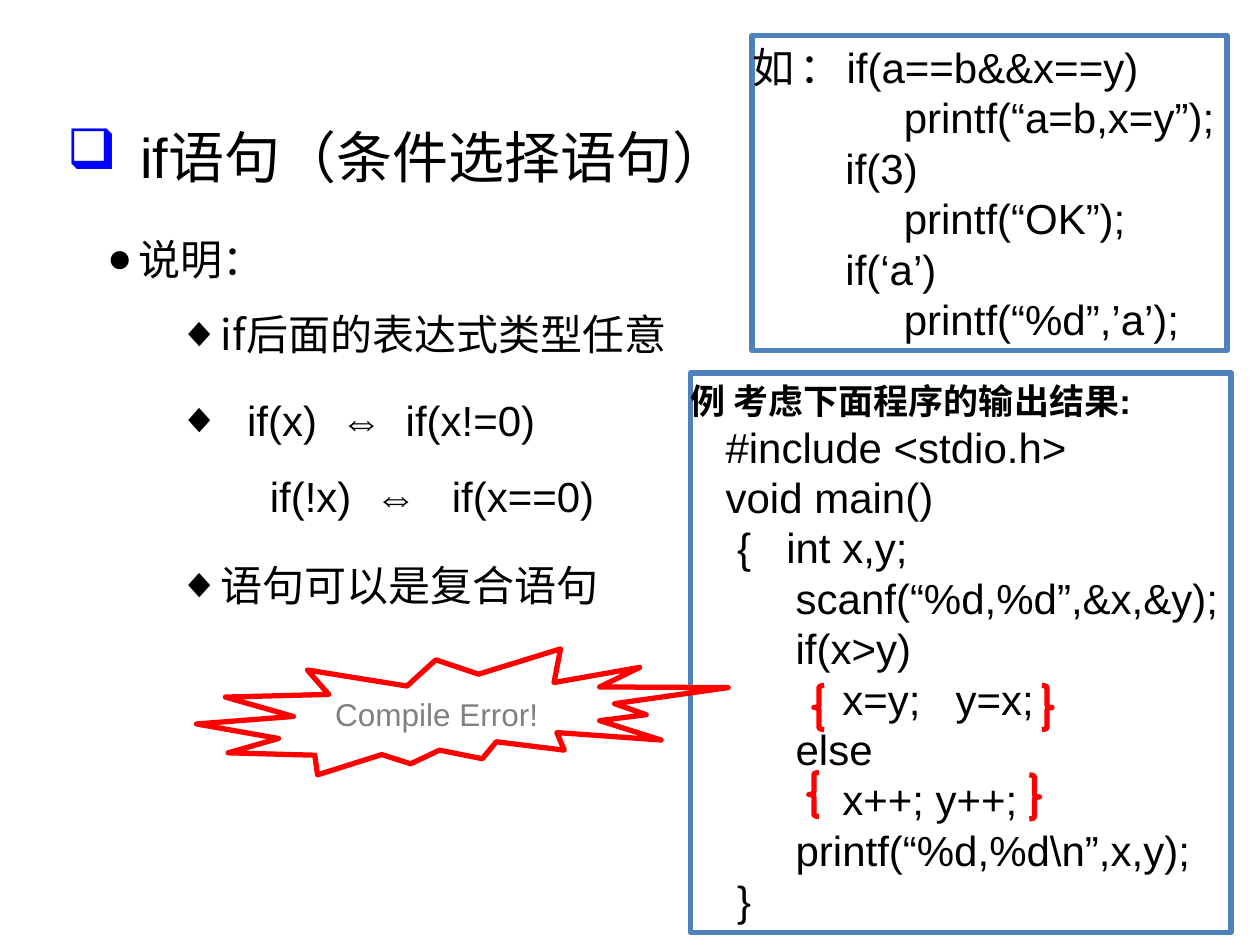
from lxml.etree import SubElement
from pptx import Presentation
from pptx.dml.color import RGBColor
from pptx.enum.shapes import MSO_SHAPE
from pptx.enum.text import MSO_ANCHOR, MSO_AUTO_SIZE, PP_ALIGN
from pptx.oxml.ns import qn
from pptx.util import Pt

BLACK = RGBColor(0, 0, 0)
WHITE = RGBColor(255, 255, 255)
GRAY = RGBColor(128, 128, 128)
RED = RGBColor(255, 0, 0)
BLUE = RGBColor(0, 0, 255)
BORDER = RGBColor(0x4F, 0x81, 0xBD)
LATIN, CHINESE = "Arial", "Noto Sans CJK SC"
SPACE = 6.67  # width of one space in 24 pt Arial

# Code lines: indent in spaces, then text pieces; a pair is (text, letter spacing).
CONDITIONS = [
    (0, [("如：", 3), "if(a==b&&x==y)"]),
    (13, ["printf(“a=b,x=y”);"]),
    (8, ["if(3)"]),
    (13, ["printf(“OK”);"]),
    (8, ["if(‘a’)"]),
    (13, ["printf(“%d”,’a’);"]),
]
PROGRAM = [
    (3, ["#include <stdio.h>"]),
    (3, ["void main()"]),
    (4, ["{", (" ", 2 * SPACE), "int x,y;"]),
    (9, ["scanf(“%d,%d”,&x,&y);"]),
    (9, ["if(x>y)"]),
    (13, ["x=y;", (" ", 2 * SPACE), "y=x;"]),
    (9, ["else"]),
    (13, ["x++; y++;"]),
    (9, ["printf(“%d,%d\\n”,x,y);"]),
    (4, ["}"]),
]
BRACES = [
    (MSO_SHAPE.LEFT_BRACE, 465.1, 391.7),
    (MSO_SHAPE.RIGHT_BRACE, 595.4, 391.7),
    (MSO_SHAPE.LEFT_BRACE, 462.2, 441.4),
    (MSO_SHAPE.RIGHT_BRACE, 588.2, 442.8),
]


def place(shape, left, top, width, height):
    for name, value in dict(left=left, top=top, width=width, height=height).items():
        setattr(shape, name, Pt(value))


def prepare_frame(shape, **options):
    frame = shape.text_frame
    values = {"word_wrap": True, "auto_size": MSO_AUTO_SIZE.NONE,
              "vertical_anchor": MSO_ANCHOR.TOP, **options}
    for name, value in values.items():
        setattr(frame, name, value)
    return frame


def next_paragraph(frame):
    first = frame.paragraphs[0]
    return frame.add_paragraph() if first.runs else first


def write_pieces(paragraph, pieces, size=24, color=BLACK, bold=False, latin=LATIN):
    for piece in pieces:
        text, spacing = (piece, 0) if isinstance(piece, str) else piece
        run = paragraph.add_run()
        run.text = text
        for name, value in dict(size=Pt(size), bold=bold, name=latin).items():
            setattr(run.font, name, value)
        run.font.color.rgb = color
        properties = run._r.get_or_add_rPr()
        SubElement(properties, qn("a:ea"), typeface=CHINESE)
        if spacing:
            properties.set("spc", str(round(spacing * 100)))


def set_indent(paragraph, margin, hanging=0, bullet=None, color=BLACK):
    properties = paragraph._p.get_or_add_pPr()
    properties.set("marL", str(Pt(margin)))
    properties.set("indent", str(-Pt(hanging)))
    if bullet:
        bullet_color = SubElement(properties, qn("a:buClr"))
        SubElement(bullet_color, qn("a:srgbClr"), val=str(color))
        SubElement(properties, qn("a:buChar"), char=bullet)
    else:
        SubElement(properties, qn("a:buNone"))


def fill_title(title):
    place(title, 31, 66.2, 516, 46)
    paragraph = prepare_frame(title).paragraphs[0]
    paragraph.alignment = PP_ALIGN.LEFT
    paragraph.space_before = Pt(8)
    set_indent(paragraph, 42, 42, "❑", BLUE)
    write_pieces(paragraph, ["if语句（条件选择语句）"], size=32)


def fill_list(placeholder, position, items, latin=LATIN):
    """Each item is (level, margin, hanging, bullet, pieces)."""
    place(placeholder, *position)
    frame = prepare_frame(placeholder)
    for level, margin, hanging, bullet, pieces in items:
        paragraph = next_paragraph(frame)
        paragraph.level = level
        paragraph.line_spacing = 1.5
        paragraph.space_before = Pt(0)
        set_indent(paragraph, margin, hanging, bullet)
        write_pieces(paragraph, pieces, latin=latin)


def add_outlined(slide, kind, position, line_color, fill=WHITE):
    shape = slide.shapes.add_shape(kind, *map(Pt, position))
    shape.shadow.inherit = False
    if fill is None:
        shape.fill.background()
    else:
        shape.fill.solid()
        shape.fill.fore_color.rgb = fill
    shape.line.color.rgb = line_color
    shape.line.width = Pt(3)
    return shape


def add_code_box(slide, position, lines, heading=None):
    box = add_outlined(slide, MSO_SHAPE.RECTANGLE, position, BORDER)
    frame = prepare_frame(box, margin_left=0, margin_right=0)
    if heading:
        paragraph = next_paragraph(frame)
        paragraph.alignment = PP_ALIGN.LEFT
        write_pieces(paragraph, [heading], size=20, bold=True)
    for spaces, pieces in lines:
        paragraph = next_paragraph(frame)
        paragraph.alignment = PP_ALIGN.LEFT
        set_indent(paragraph, spaces * SPACE)
        write_pieces(paragraph, pieces)


def add_error_burst(slide):
    burst = add_outlined(slide, MSO_SHAPE.EXPLOSION2, (112.3, 370.8, 303.8, 72), RED)
    frame = prepare_frame(burst, word_wrap=False, margin_left=0,
                          vertical_anchor=MSO_ANCHOR.MIDDLE)
    paragraph = frame.paragraphs[0]
    paragraph.alignment = PP_ALIGN.CENTER
    write_pieces(paragraph, ["Compile Error!"], size=18, color=GRAY)


def add_brace(slide, kind, left, top):
    brace = add_outlined(slide, kind, (left, top, 5.8, 25.2), RED, fill=None)
    brace.adjustments[0] = 0.21


def main():
    presentation = Presentation()
    presentation.slide_width, presentation.slide_height = Pt(720), Pt(540)
    slide = presentation.slides.add_slide(presentation.slide_layouts.get_by_name("Comparison"))
    title, notes, equivalents, compound, spare = slide.placeholders
    spare.element.getparent().remove(spare.element)

    add_code_box(slide, (429.8, 20.2, 271.4, 180), CONDITIONS)
    add_code_box(slide, (394.6, 213.1, 308.9, 319.7), PROGRAM, "例 考虑下面程序的输出结果:")
    fill_title(title)
    fill_list(notes, (0, 115.2, 635, 69.8), [
        (1, 72, 18, "●", ["说明："]),
        (2, 119, 24, "◆", ["if后面的表达式类型任意"]),
    ], latin=CHINESE)
    fill_list(equivalents, (0, 207.4, 386.6, 95), [
        (2, 134, 39, "◆", ["if(x)", (" ⇔", SPACE), " if(x!=0)"]),
        (2, 147, 0, None, ["if(!x)", (" ⇔ ", SPACE), "if(x==0)"]),
    ])
    fill_list(compound, (0, 301.7, 419.8, 50.4), [(2, 119, 24, "◆", ["语句可以是复合语句"])])
    add_error_burst(slide)
    for brace in BRACES:
        add_brace(slide, *brace)
    presentation.save("out.pptx")


if __name__ == "__main__":
    main()
